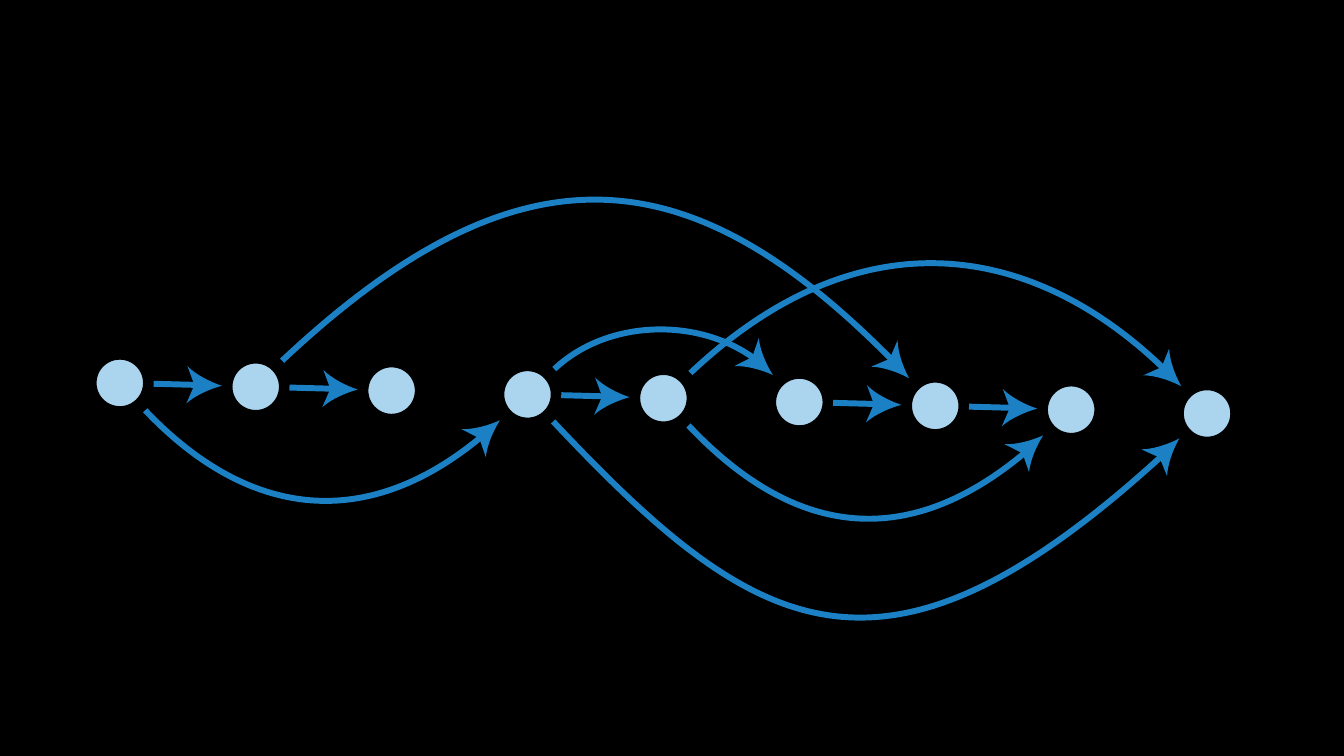
from math import cos, radians, sin

from lxml.etree import SubElement
from pptx import Presentation
from pptx.dml.color import RGBColor
from pptx.enum.shapes import MSO_CONNECTOR, MSO_SHAPE
from pptx.oxml.ns import qn
from pptx.util import Cm, Pt

BLUE = "1B80C4"
TILT = 316.7  # rotation shared by all nodes, curves and arrowheads


def paint(shape, fill=None, line=None, width=0):
    """Set fill and line of a shape from hex colours; None means empty."""
    shape.shadow.inherit = False
    for target, color in ((shape.fill, fill), (shape.line.fill, line)):
        if color:
            target.solid()
            target.fore_color.rgb = RGBColor.from_string(color)
        else:
            target.background()
    if line:
        shape.line.width = Pt(width)


def add_path(shapes, points, segments, close=False):
    """Add a tilted outline; segments holds C (cubic, 3 points) or L (line)."""
    c, s = cos(radians(TILT)), sin(radians(TILT))
    flat = [(x * c + y * s, y * c - x * s) for x, y in points]
    middle_x, middle_y = ((min(axis) + max(axis)) / 2 for axis in zip(*flat))
    center_x, center_y = middle_x * c - middle_y * s, middle_x * s + middle_y * c
    local = [(Cm(x - middle_x), Cm(y - middle_y)) for x, y in flat]
    builder = shapes.build_freeform(*local[0], scale=1.0)
    builder.add_line_segments(local[1:], close=close)
    shape = builder.convert_to_shape(Cm(center_x), Cm(center_y))
    shape.rotation = TILT
    # Join each group of three points into one cubic segment
    lines = iter(list(shape._element.iter(qn("a:lnTo"))))
    for segment in segments:
        line = next(lines)
        if segment == "C":
            cubic = line.getparent().makeelement(qn("a:cubicBezTo"))
            line.addprevious(cubic)
            for part in (line, next(lines), next(lines)):
                cubic.append(part[0])
                part.getparent().remove(part)
    return shape


presentation = Presentation()
presentation.slide_width, presentation.slide_height = Cm(33.87), Cm(19.05)
slide = presentation.slides.add_slide(presentation.slide_layouts[6])
slide.background.fill.solid()
slide.background.fill.fore_color.rgb = RGBColor.from_string("000000")
graph = slide.shapes.add_group_shape().shapes
heads = []  # tip x, tip y, angle in degrees

# Curved edges: end, two control points, end, then arrow tip and angle
arcs = [
    ((19.02, 9.04), (17.58, 7.98), (15.29, 8.05), (13.97, 9.3), (19.48, 9.45, 41)),
    ((7.11, 9.09), (13.16, 3.4), (17.45, 3.96), (22.5, 9.09), (22.91, 9.53, 45)),
    ((12.14, 11), (9.09, 13.54), (6.12, 12.93), (3.66, 10.34), (12.6, 10.59, -41)),
    ((25.86, 11.38), (22.43, 14.27), (19.56, 13.06), (17.35, 10.72), (26.29, 10.97, -41)),
    ((17.4, 9.4), (21.79, 5.26), (26.16, 6.22), (29.34, 9.3), (29.77, 9.73, 44)),
    ((29.29, 11.48), (22.23, 17.93), (19.05, 16.05), (13.94, 10.62), (29.72, 11.05, -44)),
]
for *controls, head in arcs:
    paint(add_path(graph, controls, "C"), line=BLUE, width=4.25)
    heads.append(head)

# Nodes, evenly spaced along a slightly falling line
diameter = 1.22
nodes = [(3.02 + 27.4 * i / 8, 9.65 + 0.77 * i / 8) for i in range(9)]
for x, y in nodes:
    node = graph.add_shape(MSO_SHAPE.OVAL, Cm(x - diameter / 2), Cm(y - diameter / 2),
                           Cm(diameter), Cm(diameter))
    node.rotation = TILT
    paint(node, fill="ABD5EE", line="000000", width=1.38)

# Straight edges to the next node
for i in (0, 1, 3, 5, 6):
    x, y = nodes[i]
    edge = graph.add_connector(MSO_CONNECTOR.STRAIGHT, Cm(x + 0.85), Cm(y + 0.02),
                               Cm(x + 1.96), Cm(y + 0.05))
    edge.line.color.rgb = RGBColor.from_string(BLUE)
    edge.line.width = Pt(4.25)
    SubElement(edge._element.spPr, qn("a:effectLst"))
    heads.append((x + 2.57, y + 0.07, 1.6))

# Arrowheads: concave sides and a notched back, turned about the tip
head_outline = [(0, 0), (-0.3, 0.09), (-0.66, 0.26), (-0.88, 0.47), (-0.69, 0),
                (-0.88, -0.47), (-0.66, -0.26), (-0.3, -0.09), (0, 0)]
for tip_x, tip_y, degrees in heads:
    c, s = cos(radians(degrees)), sin(radians(degrees))
    points = [(tip_x + x * c - y * s, tip_y + x * s + y * c) for x, y in head_outline]
    paint(add_path(graph, points, "CLLC", close=True), fill=BLUE)

presentation.save("out.pptx")
